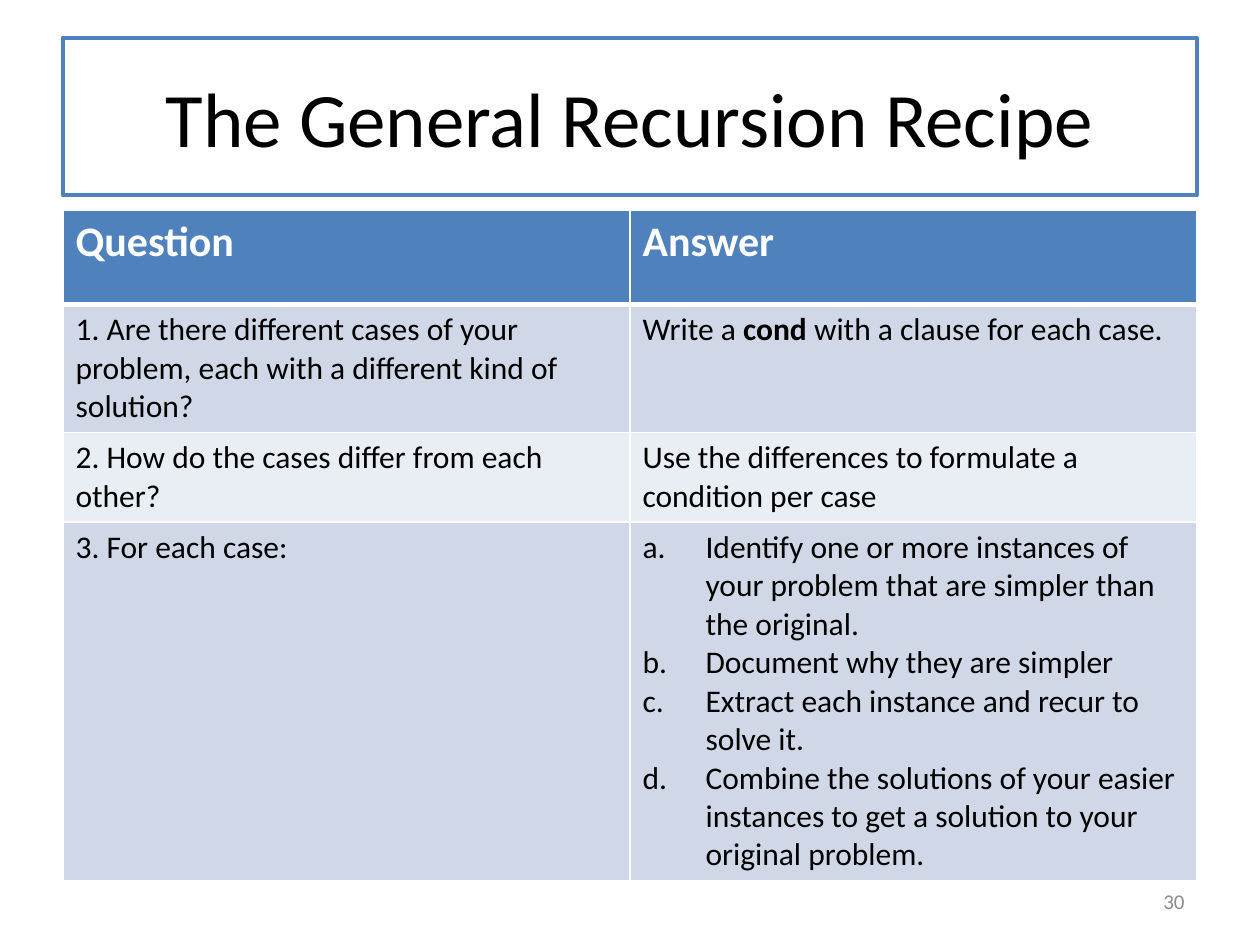
import pptx
import pptx.util
import pptx.dml.color
import pptx.enum.shapes
import pptx.enum.text
import pptx.oxml
import pptx.oxml.ns

Cm = pptx.util.Cm
COLORS = {"blue": "4F81BD", "band": "D0D8E8", "light": "E9EDF4",
          "white": "FFFFFF", "black": "000000", "gray": "8C8C8C"}


def add_span(para, text, size, color, bold=False):
    span = para.add_run()
    span.text = text
    span.font.name = "Calibri"
    span.font.size = pptx.util.Pt(size)
    span.font.bold = bold
    span.font.color.rgb = pptx.dml.color.RGBColor.from_string(COLORS[color])


def add_border(cell, side, width):
    cell_properties = cell._tc.get_or_add_tcPr()
    border = pptx.oxml.parse_xml(
        f'<a:{side} {pptx.oxml.ns.nsdecls("a")} w="{pptx.util.Pt(width)}">'
        f'<a:solidFill><a:srgbClr val="{COLORS["white"]}"/></a:solidFill></a:{side}>')
    cell_properties.append(border)


deck = pptx.Presentation()
deck.slide_width = Cm(25.4)
deck.slide_height = Cm(19.05)
page = deck.slides.add_slide(deck.slide_layouts[6])

title = page.shapes.add_shape(pptx.enum.shapes.MSO_SHAPE.RECTANGLE,
                              Cm(1.27), Cm(0.76), Cm(22.86), Cm(3.18))
title.shadow.inherit = False
title.fill.solid()
title.fill.fore_color.rgb = pptx.dml.color.RGBColor.from_string(COLORS["white"])
title.line.color.rgb = pptx.dml.color.RGBColor.from_string(COLORS["blue"])
title.line.width = pptx.util.Pt(2.25)
title.text_frame.word_wrap = True
title.text_frame.vertical_anchor = pptx.enum.text.MSO_ANCHOR.MIDDLE
title_para = title.text_frame.paragraphs[0]
title_para.alignment = pptx.enum.text.PP_ALIGN.CENTER
add_span(title_para, "The General Recursion Recipe", 44, "black")

steps = [
    "Identify one or more instances of your problem that are simpler than the original.",
    "Document why they are simpler",
    "Extract each instance and recur to solve it.",
    "Combine the solutions of your easier instances to get a solution to your original problem.",
]
rows = [
    (1.9, "blue", ["Question"], ["Answer"]),
    (2.58, "band",
     ["1. Are there different cases of your problem, each with a different kind of solution?"],
     ["Write a **cond** with a clause for each case."]),
    (1.8, "light", ["2. How do the cases differ from each other?"],
     ["Use the differences to formulate a condition per case"]),
    (7.2, "band", ["3. For each case:"], steps),
]
table = page.shapes.add_table(len(rows), 2, Cm(1.27), Cm(4.24), Cm(22.86),
                              Cm(sum(row[0] for row in rows))).table

for row_index, (height, fill, *answers) in enumerate(rows):
    table.rows[row_index].height = Cm(height)
    header = row_index == 0
    for column_index, lines in enumerate(answers):
        cell = table.cell(row_index, column_index)
        for side in ("lnL", "lnR", "lnT", "lnB"):
            thick = (header and side == "lnB") or (row_index == 1 and side == "lnT")
            add_border(cell, side, 3 if thick else 1)
        cell.fill.solid()
        cell.fill.fore_color.rgb = pptx.dml.color.RGBColor.from_string(COLORS[fill])
        for line_index, line in enumerate(lines):
            frame = cell.text_frame
            para = frame.add_paragraph() if line_index else frame.paragraphs[0]
            if lines is steps:
                properties = para._p.get_or_add_pPr()
                properties.set("marL", str(Cm(1.27)))
                properties.set("indent", str(-Cm(1.27)))
                properties.append(pptx.oxml.parse_xml(
                    f'<a:buAutoNum {pptx.oxml.ns.nsdecls("a")} type="alphaLcPeriod"/>'))
            for part_index, part in enumerate(line.split("**")):
                add_span(para, part, 24 if header else 18,
                         "white" if header else "black", header or part_index == 1)

number = page.shapes.add_textbox(Cm(18.2), Cm(17.66), Cm(5.93), Cm(1.01))
number.text_frame.word_wrap = True
number.text_frame.vertical_anchor = pptx.enum.text.MSO_ANCHOR.MIDDLE
number_para = number.text_frame.paragraphs[0]
number_para.alignment = pptx.enum.text.PP_ALIGN.RIGHT
add_span(number_para, "30", 12, "gray")

deck.save("out.pptx")
